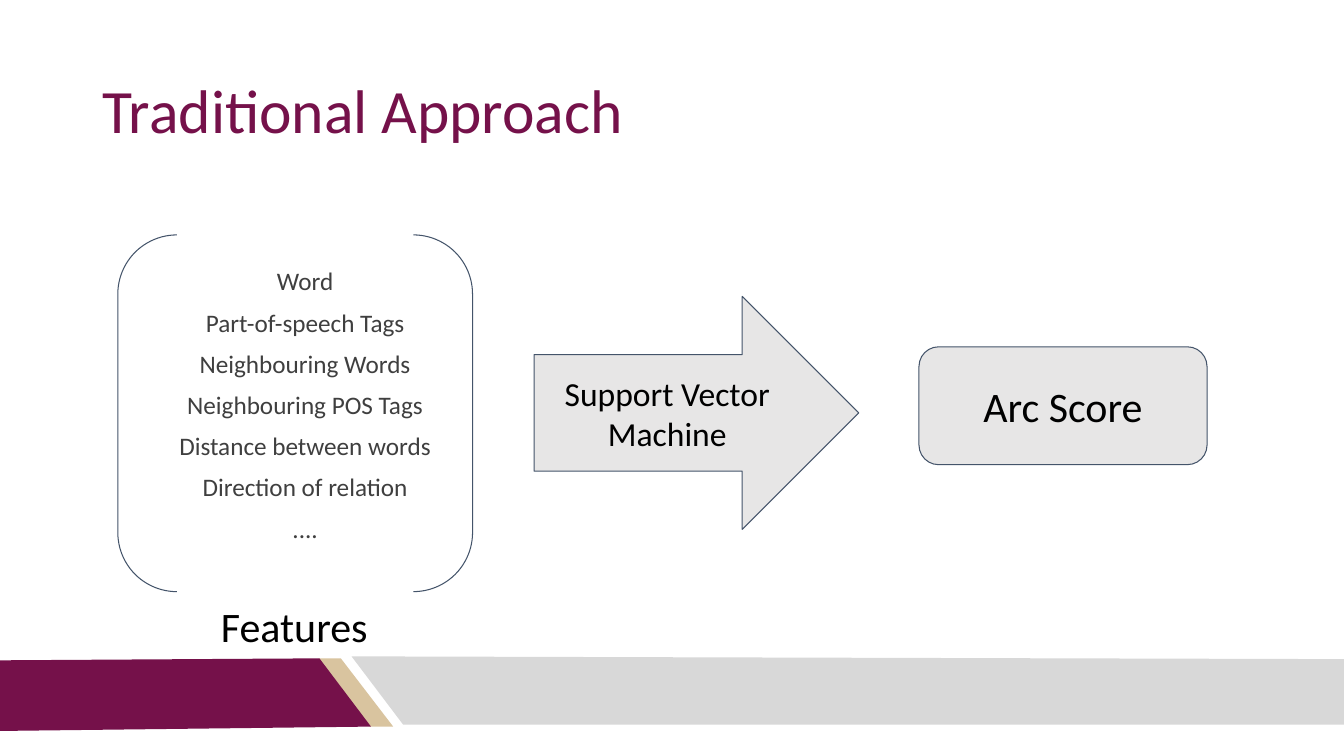
from dataclasses import dataclass

from pptx import Presentation
from pptx.dml.color import RGBColor
from pptx.enum.shapes import MSO_SHAPE
from pptx.enum.text import MSO_ANCHOR, PP_ALIGN
from pptx.util import Cm, Pt


@dataclass(frozen=True)
class Theme:
    font: str = "Calibri"
    maroon: str = "75114A"
    gold: str = "D9C49F"
    band: str = "D8D8D8"
    panel: str = "E7E6E6"
    outline: str = "44546A"
    ink: str = "000000"
    soft_ink: str = "3F3F3F"
    title_size: int = 44
    label_size: int = 30
    arrow_size: int = 24
    list_size: int = 18
    line_width: float = 0.75
    inset: float = 0.25


class SlideBuilder:
    def __init__(self, page, theme):
        self.page = page
        self.theme = theme

    def band(self, points, color):
        """Draw a filled polygon through points given in centimetres."""
        corners = [(Cm(x), Cm(y)) for x, y in points]
        builder = self.page.shapes.build_freeform(*corners[0], scale=1.0)
        builder.add_line_segments(corners[1:], close=True)
        shape = builder.convert_to_shape()
        shape.shadow.inherit = False
        shape.fill.solid()
        shape.fill.fore_color.rgb = RGBColor.from_string(color)
        shape.line.fill.background()

    def shape(self, kind, bounds, fill=None):
        shape = self.page.shapes.add_shape(kind, *map(Cm, bounds))
        shape.shadow.inherit = False
        if fill:
            shape.fill.solid()
            shape.fill.fore_color.rgb = RGBColor.from_string(fill)
        else:
            shape.fill.background()
        shape.line.color.rgb = RGBColor.from_string(self.theme.outline)
        shape.line.width = Pt(self.theme.line_width)
        return shape

    def text_box(self, bounds):
        return self.page.shapes.add_textbox(*map(Cm, bounds))

    def set_text(self, box, lines, size, color, align=PP_ALIGN.CENTER,
                 anchor=MSO_ANCHOR.MIDDLE, line_spacing=1.0, gap=0):
        """Fill a box with one paragraph per line, gap points apart."""
        frame = box.text_frame
        frame.word_wrap = True
        frame.vertical_anchor = anchor
        frame.margin_left = frame.margin_right = Cm(self.theme.inset)
        frame.margin_top = frame.margin_bottom = Cm(self.theme.inset)
        for index, line in enumerate(lines):
            para = frame.add_paragraph() if index else frame.paragraphs[0]
            para.alignment = align
            para.line_spacing = line_spacing
            para.space_before = Pt(gap if index else 0)
            span = para.add_run()
            span.text = line
            span.font.name = self.theme.font
            span.font.size = Pt(size)
            span.font.color.rgb = RGBColor.from_string(color)


FEATURES = [
    "Word",
    "Part-of-speech Tags",
    "Neighbouring Words",
    "Neighbouring POS Tags",
    "Distance between words",
    "Direction of relation",
    "....",
]


def main():
    deck = Presentation()
    deck.slide_width, deck.slide_height = Cm(33.87), Cm(19.05)
    theme = Theme()
    slide = SlideBuilder(deck.slides.add_slide(deck.slide_layouts[6]), theme)

    slide.band([(8.03, 16.59), (8.59, 16.59), (9.91, 18.31), (9.32, 18.31)], theme.gold)
    slide.band([(0, 16.64), (8.05, 16.59), (9.35, 18.31), (0, 18.42)], theme.maroon)
    slide.band([(8.86, 16.54), (33.87, 16.61), (33.87, 18.26), (10.16, 18.26)], theme.band)

    title = slide.text_box((2.34, 1.02, 29.21, 3.68))
    slide.set_text(title, ["Traditional Approach"], theme.title_size, theme.maroon,
                   align=PP_ALIGN.LEFT, line_spacing=0.9)

    slide.shape(MSO_SHAPE.DOUBLE_BRACKET, (2.97, 5.92, 8.94, 8.99))
    feature_list = slide.text_box((3.78, 6.53, 7.82, 7.37))
    slide.set_text(feature_list, FEATURES, theme.list_size, theme.soft_ink,
                   anchor=MSO_ANCHOR.TOP, line_spacing=0.9, gap=10)
    caption = slide.text_box((3.23, 14.88, 8.38, 1.5))
    slide.set_text(caption, ["Features"], theme.label_size, theme.ink, anchor=MSO_ANCHOR.TOP)

    arrow = slide.shape(MSO_SHAPE.RIGHT_ARROW, (13.46, 7.47, 8.18, 5.87), theme.panel)
    slide.set_text(arrow, ["Support Vector Machine"], theme.arrow_size, theme.ink)
    score = slide.shape(MSO_SHAPE.ROUNDED_RECTANGLE, (23.16, 8.74, 7.26, 2.97), theme.panel)
    slide.set_text(score, ["Arc Score"], theme.label_size, theme.ink)

    deck.save("out.pptx")


if __name__ == "__main__":
    main()
